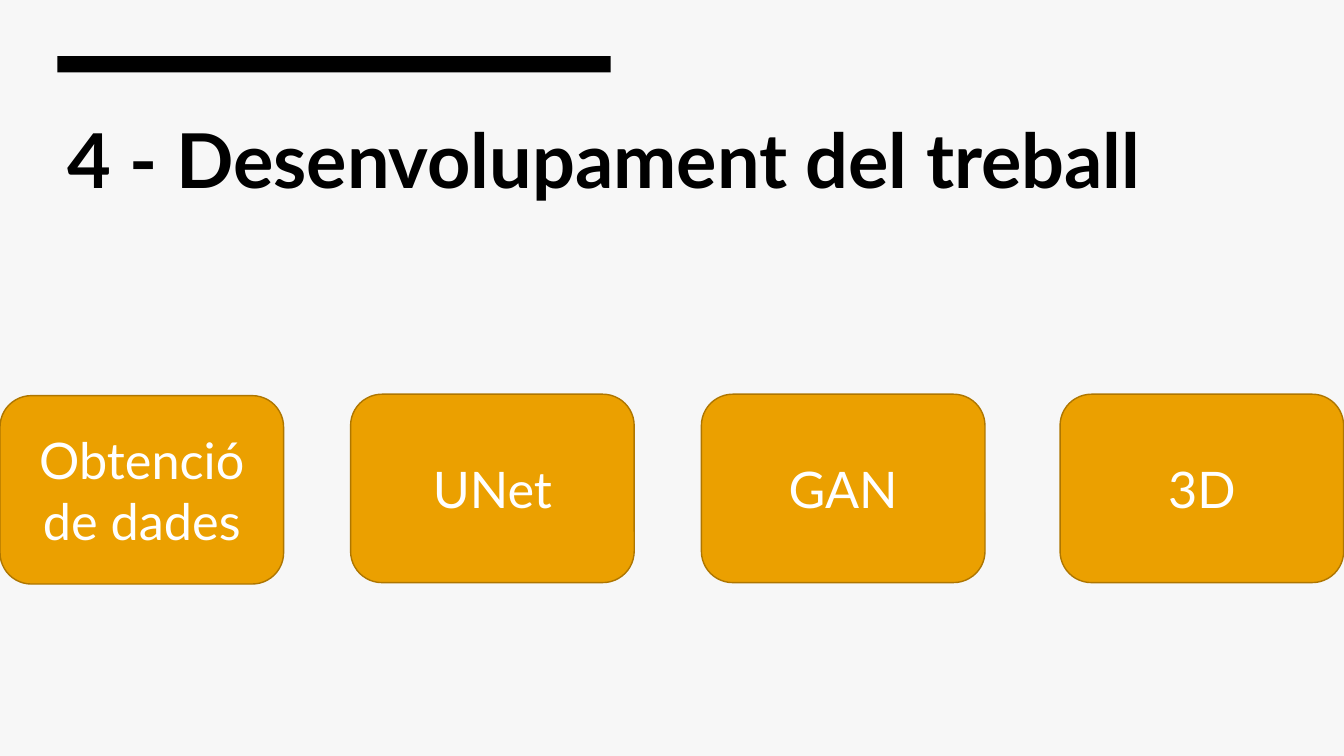
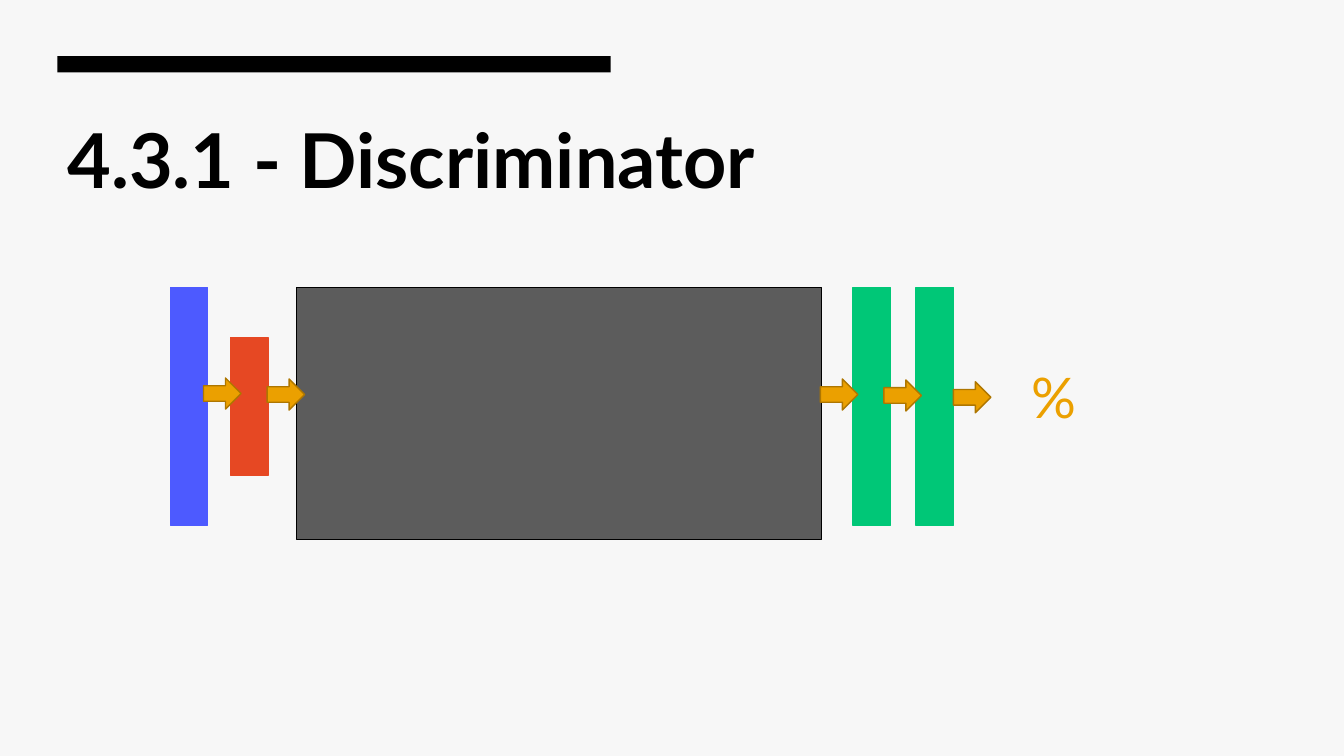
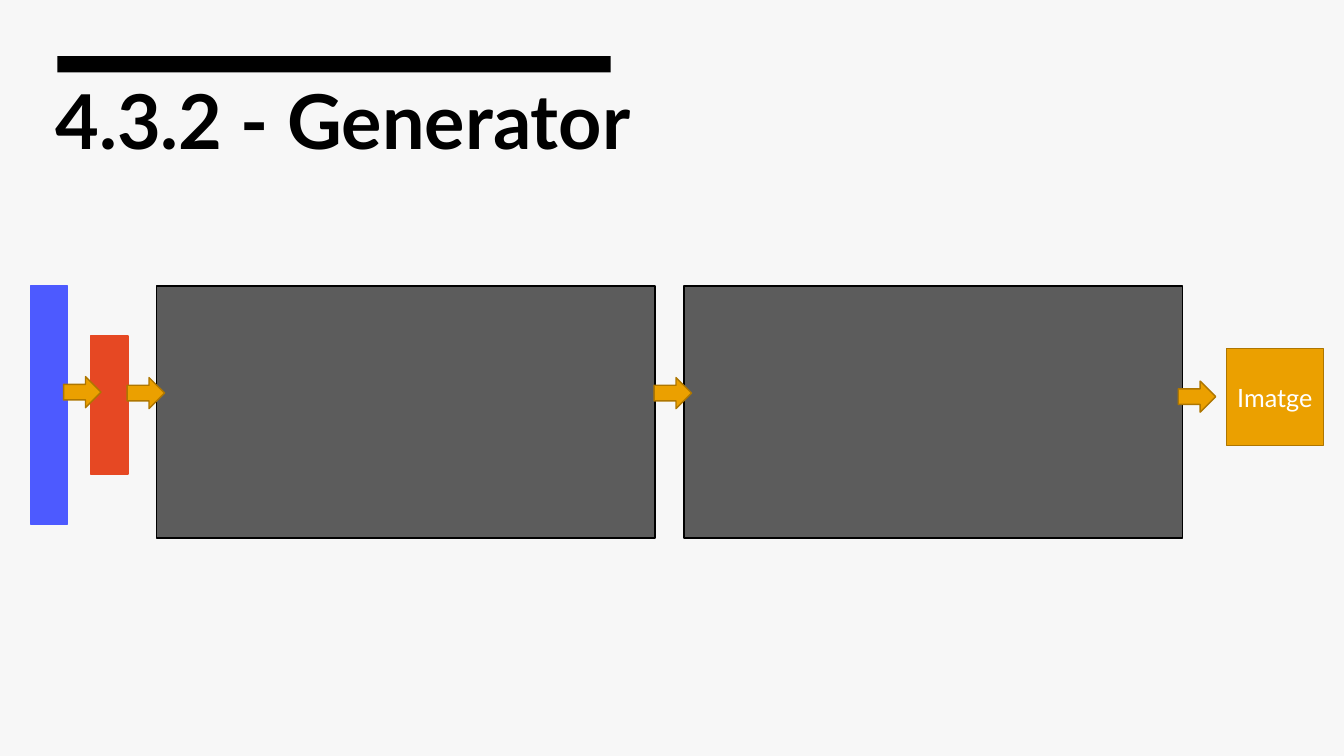
import pptx
import pptx.util
import pptx.dml.color
import pptx.enum.shapes
import pptx.enum.text

Pt = pptx.util.Pt
SHAPE = pptx.enum.shapes.MSO_SHAPE
ALIGN = pptx.enum.text.PP_ALIGN
ANCHOR = pptx.enum.text.MSO_ANCHOR


class Theme:
    font = "Lato"
    background = "F7F7F7"
    ink = "000000"
    white = "FFFFFF"
    amber = "EBA000"
    amber_edge = "AE7600"
    blue = "4D5AFF"
    red = "E64823"
    gray = "5C5C5C"
    green = "00C777"
    title_size = 54
    card_size = 36
    percent_size = 40
    image_size = 18


def add_part(slide, kind, box, fill, edge):
    part = slide.shapes.add_shape(kind, *[Pt(length) for length in box])
    part.shadow.inherit = False
    part.fill.solid()
    part.fill.fore_color.rgb = pptx.dml.color.RGBColor.from_string(fill)
    part.line.color.rgb = pptx.dml.color.RGBColor.from_string(edge)
    part.line.width = Pt(1)
    return part


def write(holder, text, size, color, align=ALIGN.LEFT, anchor=ANCHOR.TOP, bold=False):
    frame = holder.text_frame
    frame.word_wrap = True
    frame.vertical_anchor = anchor
    frame.text = text
    frame.paragraphs[0].alignment = align
    font = frame.paragraphs[0].runs[0].font
    font.name = Theme.font
    font.size = Pt(size)
    font.bold = bold
    font.color.rgb = pptx.dml.color.RGBColor.from_string(color)


deck = pptx.Presentation()
deck.slide_width = Pt(960)
deck.slide_height = Pt(540)
background = deck.slide_master.background.fill
background.solid()
background.fore_color.rgb = pptx.dml.color.RGBColor.from_string(Theme.background)

titles = [
    ("4 - Desenvolupament del treball", (41, 77, 866, 73)),
    ("4.3.1 - Discriminator", (41, 77, 546, 73)),
    ("4.3.2 - Generator", (32.4, 49, 546, 73)),
]
slides = []
for title, box in titles:
    slide = deck.slides.add_slide(deck.slide_layouts[6])
    band = add_part(slide, SHAPE.RECTANGLE, (41, 40.2, 395.2, 11.5), Theme.ink, Theme.ink)
    band.line.fill.background()
    heading = slide.shapes.add_textbox(*[Pt(length) for length in box])
    write(heading, title, Theme.title_size, Theme.ink, bold=True)
    slides.append(slide)
overview, discriminator, generator = slides

stages = [
    ("Obtenció de dades", 0, 282.6),
    ("UNet", 250.4, 281.6),
    ("GAN", 501, 281.6),
    ("3D", 757.2, 281.6),
]
for stage, left, top in stages:
    card = add_part(overview, SHAPE.ROUNDED_RECTANGLE, (left, top, 202.6, 134.6),
                    Theme.amber, Theme.amber_edge)
    write(card, stage, Theme.card_size, Theme.white, ALIGN.CENTER, ANCHOR.MIDDLE)

layer_width, layer_height, block_height = 26.8, 170, 180
input_layers = [
    (0, 0, layer_width, layer_height, Theme.blue, Theme.blue),
    (43.2, 35.8, layer_width, 98.6, Theme.red, Theme.red),
]
input_arrows = [(23.8, 64.8), (69.2, 65.5)]
networks = [
    (discriminator, 121.6, 205.2,
     [(90.2, 0, 375.2, block_height, Theme.gray, Theme.ink),
      (487.6, 0, layer_width, layer_height, Theme.green, Theme.green),
      (532.6, 0, layer_width, layer_height, Theme.green, Theme.green)],
     [(464.4, 65.5), (509.8, 66.2), (559.4, 67.5)]),
    (generator, 21.6, 204.2,
     [(90.4, 0, 356, block_height, Theme.gray, Theme.ink),
      (467, 0, 356, block_height, Theme.gray, Theme.ink)],
     [(445.6, 65.5), (820, 68)]),
]
for slide, origin_left, origin_top, layers, arrows in networks:
    for left, top, width, height, fill, edge in input_layers + layers:
        add_part(slide, SHAPE.RECTANGLE,
                 (origin_left + left, origin_top + top, width, height), fill, edge)
    for left, top in input_arrows + arrows:
        add_part(slide, SHAPE.RIGHT_ARROW,
                 (origin_left + left, origin_top + top, 26.8, 22.2),
                 Theme.amber, Theme.amber_edge)

percent = discriminator.shapes.add_textbox(Pt(730), Pt(255.6), Pt(162), Pt(55.4))
write(percent, "%", Theme.percent_size, Theme.amber)
percent.text_frame.auto_size = pptx.enum.text.MSO_AUTO_SIZE.SHAPE_TO_FIT_TEXT

image_output = add_part(generator, SHAPE.RECTANGLE, (876, 249, 69.2, 69.2),
                        Theme.amber, Theme.amber_edge)
write(image_output, "Imatge", Theme.image_size, Theme.white, ALIGN.CENTER, ANCHOR.MIDDLE)

deck.save("out.pptx")
